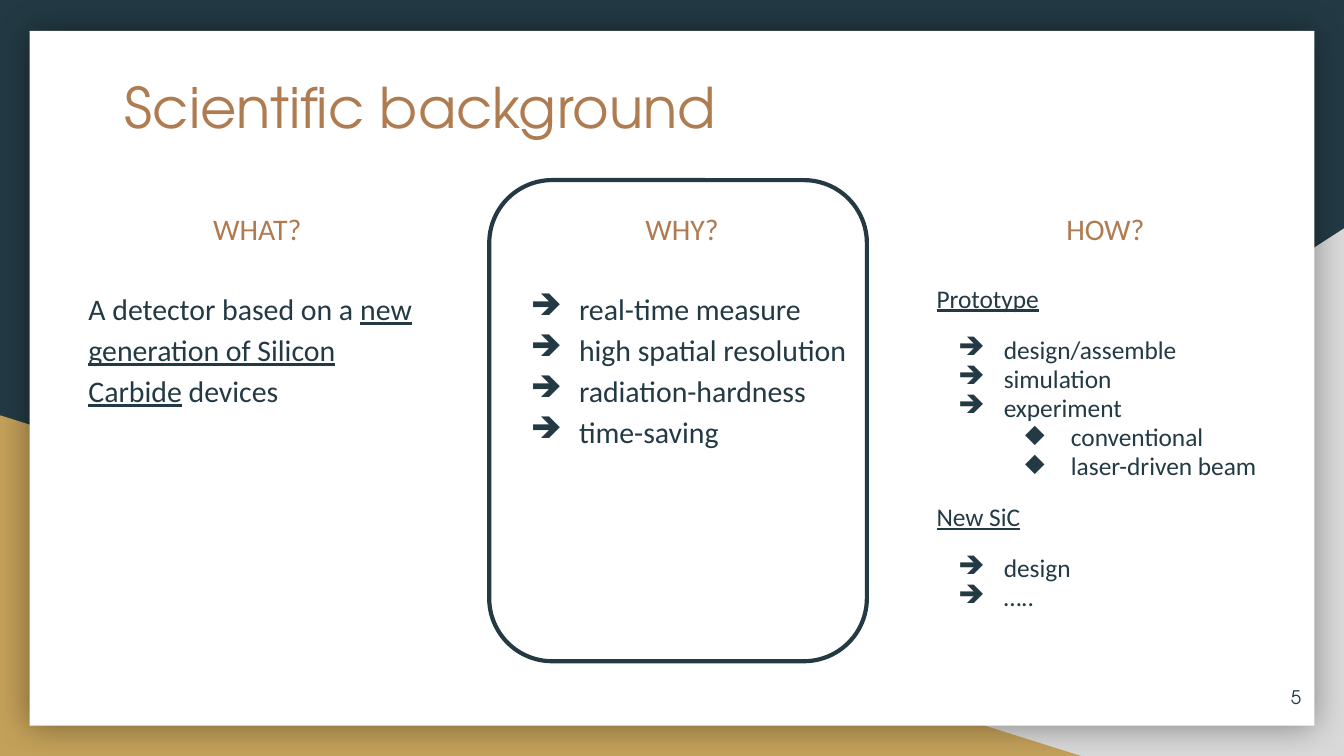
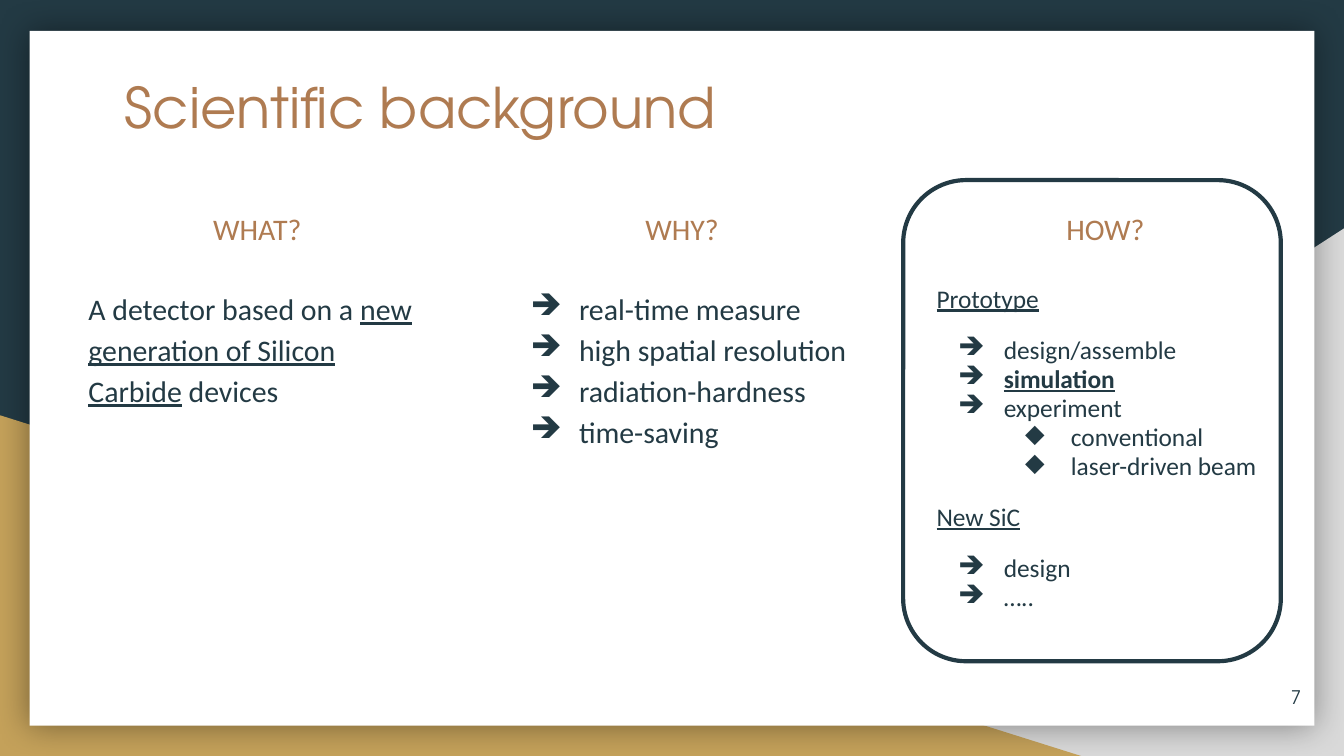
"""Build two slides on a detector's background, each framing one column."""
from dataclasses import dataclass
from typing import Any, NamedTuple

from lxml import etree
from pptx import Presentation
from pptx import util as u
from pptx.dml import color
from pptx.enum import shapes, text
from pptx.oxml import ns

COLOURS = {
    "ink": "233A44",
    "copper": "AF7B51",
    "gold": "C4A15A",
    "grey": "D9D9D9",
    "paper": "FFFFFF",
    "shade": "000000",
}
BODY_FONT = "Calibri"
TITLE_FONT = "TeX Gyre Adventor"
TITLE_ONLY = 5
PAGE_WIDTH = u.Inches(10)
PAGE_HEIGHT = PAGE_WIDTH * 9 // 16
ARROW, DIAMOND = "➔", "◆"


class Area(NamedTuple):
    """Position and size in inches."""

    left: float
    top: float
    width: float
    height: float

    def lengths(self) -> tuple[u.Length, ...]:
        """Return the four values as lengths."""
        return tuple(u.Inches(value) for value in self)


class Span(NamedTuple):
    """A stretch of text with one look."""

    words: str
    underline: bool = False
    bold: bool = False


@dataclass(frozen=True)
class Line:
    """One paragraph of a column."""

    spans: tuple[Span, ...]
    bullet: str = ""
    level: int = 0
    before: float = 0
    after: float = 0


@dataclass(frozen=True)
class Column:
    """A heading with the text under it."""

    heading: str
    left: float
    body_left: float
    lines: tuple[Line, ...]
    size: float = 16
    spacing: float = 1.15
    hang: float = 0.36


@dataclass(frozen=True)
class Page:
    """What differs from one slide to the next."""

    number: str
    frame_left: float
    emphasis: str = ""


def item(words: str, bullet: str = ARROW, level: int = 0, before: float = 0) -> Line:
    """Make a bulleted line."""
    return Line((Span(words),), bullet, level, before)


def topic(words: str, before: float = 0) -> Line:
    """Make an underlined subheading."""
    return Line((Span(words, underline=True),), before=before)


COLUMNS = (
    Column("WHAT?", 0.55, 0.56, (
        Line((
            Span("A detector based on a "),
            Span("new generation of Silicon Carbide", underline=True),
            Span(" devices"),
        ), after=12),
    )),
    Column("WHY?", 3.71, 3.71, tuple(map(item, (
        "real-time measure",
        "high spatial resolution",
        "radiation-hardness",
        "time-saving",
    )))),
    Column("HOW?", 6.86, 6.87, (
        topic("Prototype"),
        item("design/assemble", before=12),
        item("simulation"),
        item("experiment"),
        item("conventional", DIAMOND, 1),
        item("laser-driven beam", DIAMOND, 1),
        topic("New SiC", before=12),
        item("design", before=12),
        item("….."),
    ), size=13.6, spacing=0.95, hang=0.34),
)
PAGES = (Page("5", 3.64), Page("7", 6.72, emphasis="simulation"))


def rgb(name: str) -> color.RGBColor:
    """Look up a colour by name."""
    return color.RGBColor.from_string(COLOURS[name])


def apply(target: Any, values: dict[str, Any]) -> None:
    """Set each named attribute on the target."""
    for name, value in values.items():
        setattr(target, name, value)


def add_node(parent: Any, tag: str, **attributes: str) -> Any:
    """Append an XML element."""
    return etree.SubElement(parent, ns.qn(tag), attributes)


def add_colour(parent: Any, name: str) -> Any:
    """Append an XML colour."""
    return add_node(parent, "a:srgbClr", val=COLOURS[name])


def add_span(para: Any, span: Span, size: float, font: str, colour: str) -> None:
    """Append a formatted run to a paragraph."""
    run = para.add_run()
    run.text = span.words
    apply(run.font, {
        "size": u.Pt(size),
        "name": font,
        "underline": span.underline,
        "bold": span.bold,
    })
    run.font.color.rgb = rgb(colour)


def set_frame(frame: Any, anchor: Any = text.MSO_ANCHOR.TOP) -> None:
    """Give a text frame the shared margins and wrapping."""
    sides = ("left", "right", "top", "bottom")
    apply(frame, {f"margin_{side}": u.Inches(0.1) for side in sides})
    apply(frame, {
        "word_wrap": True,
        "auto_size": text.MSO_AUTO_SIZE.NONE,
        "vertical_anchor": anchor,
    })


def add_box(page: Any, area: Area, anchor: Any = text.MSO_ANCHOR.TOP) -> Any:
    """Add a text box and return its frame."""
    box = page.shapes.add_textbox(*area.lengths())
    set_frame(box.text_frame, anchor)
    return box.text_frame


def add_figure(page: Any, kind: Any, area: Area, fill: str = "", line: str = "") -> Any:
    """Add a preset shape with a plain fill or outline."""
    figure = page.shapes.add_shape(kind, *area.lengths())
    figure.shadow.inherit = False
    if fill:
        figure.fill.solid()
        figure.fill.fore_color.rgb = rgb(fill)
    else:
        figure.fill.background()
    if line:
        figure.line.color.rgb = rgb(line)
        figure.line.width = u.Pt(2.25)
    else:
        figure.line.fill.background()
    return figure


def add_backdrop(page: Any) -> None:
    """Draw the coloured corners and the shadowed sheet."""
    page.background.fill.solid()
    page.background.fill.fore_color.rgb = rgb("ink")
    triangle = shapes.MSO_SHAPE.RIGHT_TRIANGLE
    corner = add_figure(page, triangle, Area(3.92, 1.7, 6.08, 3.93), "grey")
    corner.element.spPr.xfrm.set("flipH", "1")
    add_figure(page, triangle, Area(0, 3.09, 8.06, 2.54), "gold")
    sheet = add_figure(
        page, shapes.MSO_SHAPE.RECTANGLE, Area(0.22, 0.23, 9.56, 5.17), "paper"
    )
    effects = sheet.element.spPr.find(ns.qn("a:effectLst"))
    shadow = add_node(
        effects, "a:outerShdw", blurRad=str(u.Pt(18)), dist="0", dir="0",
        algn="ctr", rotWithShape="0",
    )
    add_node(add_colour(shadow, "shade"), "a:alpha", val="40000")


def set_title(page: Any, words: str) -> None:
    """Place and format the title above the backdrop."""
    title = page.shapes.title
    names = ("left", "top", "width", "height")
    apply(title, dict(zip(names, Area(0.83, 0.44, 8.21, 1.04).lengths())))
    set_frame(title.text_frame)
    para = title.text_frame.paragraphs[0]
    para.alignment = text.PP_ALIGN.LEFT
    add_span(para, Span(words), 30, TITLE_FONT, "copper")
    title.element.getparent().append(title.element)


def add_bullet(para: Any, line: Line, hang: float) -> None:
    """Give a paragraph a hanging bullet."""
    props = para._p.get_or_add_pPr()
    props.set("marL", str(u.Inches(0.5 * (line.level + 1))))
    props.set("indent", str(-u.Inches(hang)))
    add_colour(add_node(props, "a:buClr"), "ink")
    add_node(props, "a:buChar", char=line.bullet)


def add_column(page: Any, column: Column, emphasis: str) -> None:
    """Write a heading and its lines."""
    heading = add_box(page, Area(column.left, 1.43, 2.73, 0.5)).paragraphs[0]
    apply(heading, {"alignment": text.PP_ALIGN.CENTER, "line_spacing": 1.15})
    add_span(heading, Span(column.heading), 16, BODY_FONT, "copper")
    frame = add_box(page, Area(column.body_left, 2.02, 2.71, 3.06))
    for index, line in enumerate(column.lines):
        para = frame.add_paragraph() if index else frame.paragraphs[0]
        apply(para, {
            "level": line.level,
            "line_spacing": column.spacing,
            "space_before": u.Pt(line.before),
            "space_after": u.Pt(line.after),
        })
        if line.bullet:
            add_bullet(para, line, column.hang)
        for span in line.spans:
            if span.words == emphasis:
                span = Span(span.words, underline=True, bold=True)
            add_span(para, span, column.size, BODY_FONT, "ink")


def add_page(deck: Any, content: Page) -> None:
    """Build one slide."""
    page = deck.slides.add_slide(deck.slide_layouts[TITLE_ONLY])
    add_backdrop(page)
    set_title(page, "Scientific background")
    for column in COLUMNS:
        add_column(page, column, content.emphasis)
    number = add_box(page, Area(9.18, 4.97, 0.6, 0.43), text.MSO_ANCHOR.MIDDLE)
    number.paragraphs[0].alignment = text.PP_ALIGN.RIGHT
    add_span(number.paragraphs[0], Span(content.number), 10, TITLE_FONT, "ink")
    add_figure(
        page, shapes.MSO_SHAPE.ROUNDED_RECTANGLE,
        Area(content.frame_left, 1.34, 2.81, 3.58), line="ink",
    )


def main() -> None:
    """Build and save the deck."""
    deck = Presentation()
    apply(deck, {"slide_width": PAGE_WIDTH, "slide_height": PAGE_HEIGHT})
    for content in PAGES:
        add_page(deck, content)
    deck.save("out.pptx")


if __name__ == "__main__":
    main()
